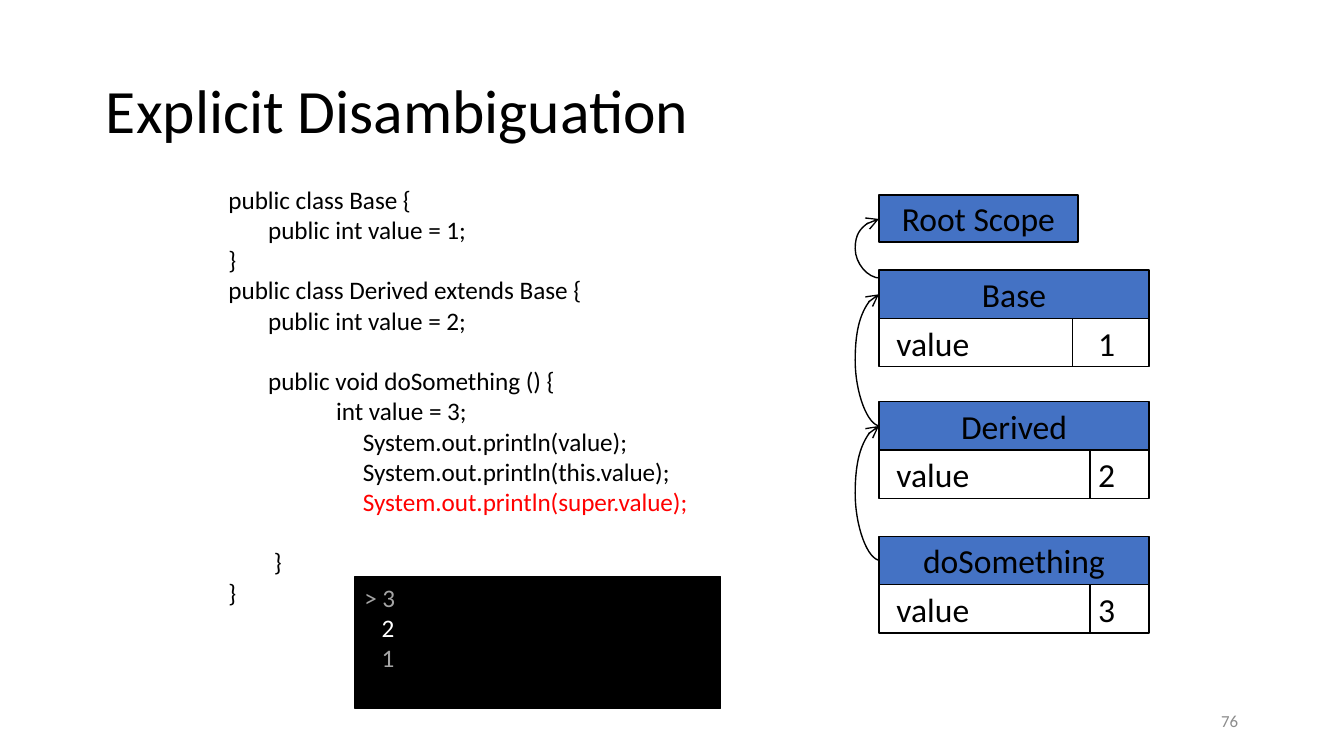
from dataclasses import dataclass

from pptx import Presentation
from pptx.dml.color import RGBColor
from pptx.enum.shapes import MSO_CONNECTOR, MSO_SHAPE
from pptx.enum.text import MSO_ANCHOR, PP_ALIGN
from pptx.oxml.ns import qn
from pptx.util import Inches, Pt
from lxml.etree import SubElement


@dataclass(frozen=True)
class Theme:
    """Colours, font and type sizes of the slide."""
    font: str = "Calibri"
    black: str = "000000"
    white: str = "FFFFFF"
    blue: str = "4472C4"
    red: str = "FF0000"
    grey: str = "A5A5A5"
    page_grey: str = "8C8C8C"
    title: float = 33
    scope: float = 18
    code: float = 13.5
    page: float = 9
    line: float = 0.75


THEME = Theme()

CODE = """public class Base {
       public int value = 1;
}
public class Derived extends Base {
       public int value = 2;

       public void doSomething () {
                   int value = 3;
\tSystem.out.println(value);
\tSystem.out.println(this.value);
\tSystem.out.println(super.value);

        }
}"""


def rgb(color):
    """Turn a hex string into a colour."""
    return RGBColor.from_string(color)


def set_font(p, size, color):
    """Set the font of a whole paragraph."""
    p.font.name = THEME.font
    p.font.size = Pt(size)
    p.font.color.rgb = rgb(color)


def set_tab(p, pos):
    """Give a paragraph one left tab stop."""
    tabs = SubElement(p._p.get_or_add_pPr(), qn("a:tabLst"))
    SubElement(tabs, qn("a:tab"), pos=str(Inches(pos)), algn="l")


def set_frame(tf, anchor, side=0.07, top=0.04):
    """Set wrapping, anchor and insets of a text frame."""
    tf.word_wrap = True
    tf.vertical_anchor = anchor
    tf.margin_left = tf.margin_right = Inches(side)
    tf.margin_top = tf.margin_bottom = Inches(top)


def add_label(s, box, text, size, color, align=PP_ALIGN.LEFT):
    """Add a one-line text box, centred vertically."""
    tf = s.shapes.add_textbox(*map(Inches, box)).text_frame
    set_frame(tf, MSO_ANCHOR.MIDDLE, 0.1, 0.05)
    p = tf.paragraphs[0]
    p.text, p.alignment = text, align
    set_font(p, size, color)
    return p


def add_box(s, box, fill):
    """Add an outlined rectangle."""
    sp = s.shapes.add_shape(MSO_SHAPE.RECTANGLE, *map(Inches, box))
    sp.shadow.inherit = False
    sp.fill.solid()
    sp.fill.fore_color.rgb = rgb(fill)
    sp.line.color.rgb = rgb(THEME.black)
    sp.line.width = Pt(THEME.line)
    set_frame(sp.text_frame, MSO_ANCHOR.MIDDLE)
    return sp


def add_line(s, kind, start, end):
    """Add a thin black connector without shadow."""
    cn = s.shapes.add_connector(kind, *map(Inches, start + end))
    cn.line.color.rgb = rgb(THEME.black)
    cn.line.width = Pt(THEME.line)
    SubElement(cn._element.spPr, qn("a:effectLst"))
    return cn


def add_code(s, box):
    """Add the code listing, with the super call in red."""
    tf = s.shapes.add_textbox(*map(Inches, box)).text_frame
    set_frame(tf, MSO_ANCHOR.TOP)
    p, gap = None, False
    for line in CODE.split("\n"):
        if not line:
            gap = True
            continue
        p = tf.add_paragraph() if p else tf.paragraphs[0]
        p.text = line
        if line.startswith("\t"):
            set_tab(p, 1)
        if gap:
            p.space_before = Pt(16.2)
            gap = False
        set_font(p, THEME.code, THEME.red if "super" in line else THEME.black)


def add_console(s, box):
    """Add the console with its three lines of output."""
    tf = add_box(s, box, THEME.black).text_frame
    tf.vertical_anchor = MSO_ANCHOR.TOP
    lines = [("> 3", THEME.grey, 0), ("2", THEME.white, 0.13), ("1", THEME.grey, 0.13)]
    for i, (text, color, indent) in enumerate(lines):
        p = tf.paragraphs[0] if i == 0 else tf.add_paragraph()
        p.text, p.alignment = text, PP_ALIGN.LEFT
        p._p.get_or_add_pPr().set("marL", str(Inches(indent)))
        set_font(p, THEME.code, color)


def add_header(s, box, name):
    """Add the blue name bar of a scope."""
    p = add_box(s, box, THEME.blue).text_frame.paragraphs[0]
    p.text, p.alignment = name, PP_ALIGN.CENTER
    set_font(p, THEME.scope, THEME.black)


def add_scope(s, box, name, value, divider):
    """Add a scope: a name bar above a row with one variable."""
    x, y, w, h = box
    head = 0.36
    row = add_box(s, (x, y + head, w, h - head), THEME.white)
    row.text_frame.margin_left = Inches(0.13)
    p = row.text_frame.paragraphs[0]
    p.text, p.alignment = f"value\t{value}", PP_ALIGN.LEFT
    set_tab(p, 1.5)
    set_font(p, THEME.scope, THEME.black)
    add_line(s, MSO_CONNECTOR.STRAIGHT, (x + divider, y + head), (x + divider, y + h))
    add_header(s, (x, y, w, head), name)


def add_parent_arrow(s, x, start, end):
    """Add a curved arrow that bulges left from a scope to its parent."""
    cn = add_line(s, MSO_CONNECTOR.CURVE, (x + 0.01, start), (x, end))
    geom = cn._element.spPr.find(qn("a:prstGeom"))
    guides = geom.find(qn("a:avLst"))
    if guides is None:
        guides = SubElement(geom, qn("a:avLst"))
    SubElement(guides, qn("a:gd"), name="adj1", fmla="val 1900000")
    SubElement(cn.line._get_or_add_ln(), qn("a:tailEnd"), type="arrow")


def add_scope_chain(s, box):
    """Add the scopes and the arrows that link each to its parent."""
    x, y, w, _ = box
    add_header(s, (x, y, 1.48, 0.35), "Root Scope")
    parent = y + 0.18
    scopes = [("Base", 1, 0.56, 1.44, 0.06), ("Derived", 2, 1.54, 1.57, 0.18),
              ("doSomething", 3, 2.54, 1.57, 0.18)]
    for name, value, top, divider, start in scopes:
        add_parent_arrow(s, x, y + top + start, parent)
        add_scope(s, (x, y + top, w, 0.72), name, value, divider)
        parent = y + top + 0.18


def main():
    """Build the slide and save it."""
    prs = Presentation()
    prs.slide_width = Inches(10)
    prs.slide_height = prs.slide_width * 9 // 16
    s = prs.slides.add_slide(prs.slide_layouts[6])
    title = add_label(s, (0.69, 0.3, 8.62, 1.09), "Explicit Disambiguation",
                      THEME.title, THEME.black)
    title.line_spacing = 0.9
    add_code(s, (1.63, 1.33, 3.73, 3.38))
    add_scope_chain(s, (6.54, 1.45, 2.01, 3.26))
    add_console(s, (2.64, 4.29, 2.72, 0.98))
    add_label(s, (7.06, 5.21, 2.25, 0.3), "76", THEME.page, THEME.page_grey,
              PP_ALIGN.RIGHT)
    prs.save("out.pptx")


if __name__ == "__main__":
    main()
